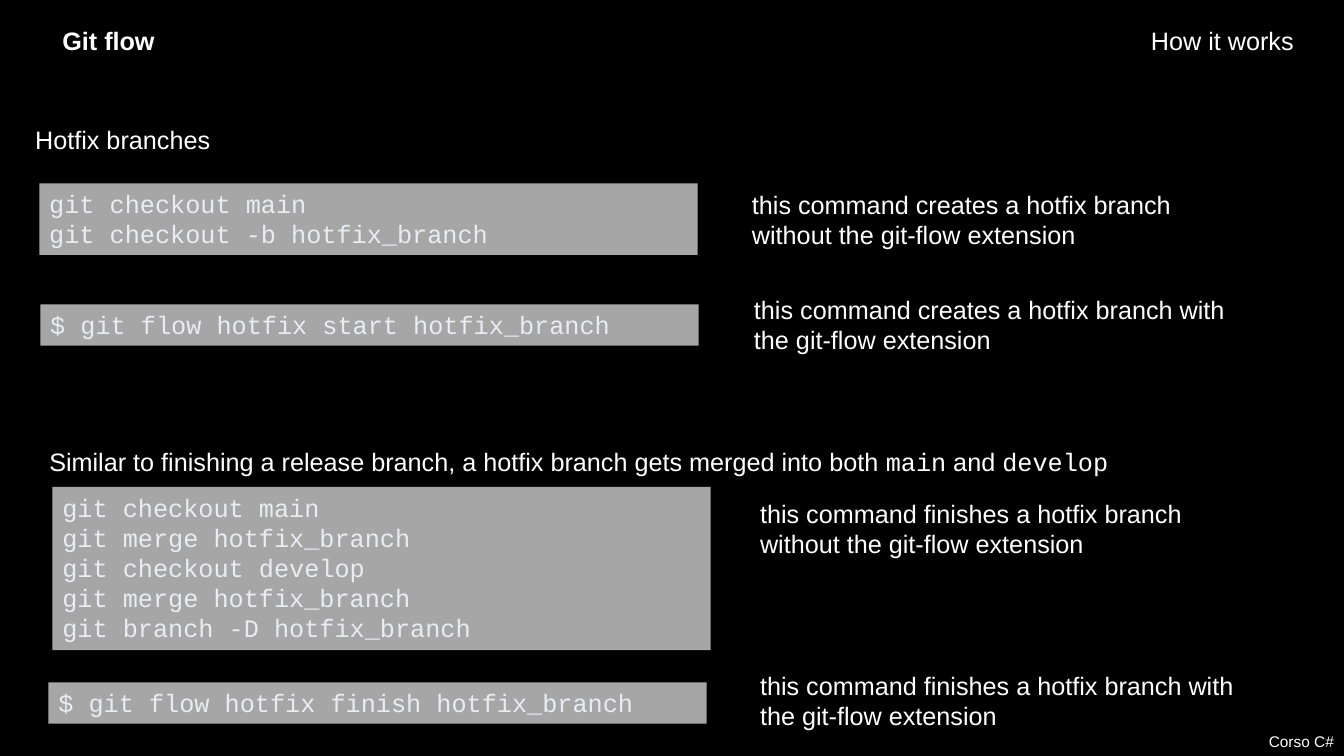
from pptx import Presentation
from pptx.dml.color import RGBColor
from pptx.enum import shapes, text
from pptx.util import Inches, Pt

SANS, MONO = "Arial", "Courier New"
WHITE, BLACK, GREY, PALE = "FFFFFF", "000000", "A6A6A6", "EBECF0"
CODE_WIDTH, NOTE_WIDTH = 6.53, 4.97
LINE_HEIGHT, PADDING = 0.305, 0.1


def paint(fill, color):
    fill.solid()
    fill.fore_color.rgb = RGBColor.from_string(color)


def style(paragraph, font=SANS, size=18, color=WHITE, bold=False,
          align=text.PP_ALIGN.LEFT, spacing=None):
    paragraph.font.name = font
    paragraph.font.size = Pt(size)
    paragraph.font.bold = bold
    paragraph.font.color.rgb = RGBColor.from_string(color)
    paragraph.alignment = align
    if spacing:
        paragraph.line_spacing = spacing


def add_text(slide, box, runs, wrap=True, **look):
    """Place one paragraph; runs is a list of (wording, font) pairs."""
    frame = slide.shapes.add_textbox(*map(Inches, box)).text_frame
    frame.word_wrap = wrap
    paragraph = frame.paragraphs[0]
    style(paragraph, **look)
    for wording, font in runs:
        run = paragraph.add_run()
        run.text = wording
        if font != SANS:
            run.font.name = font


def add_code(slide, left, top, lines):
    """Place a grey panel as tall as its lines of code."""
    height = round(len(lines) * LINE_HEIGHT + PADDING, 2)
    panel = slide.shapes.add_shape(
        shapes.MSO_SHAPE.RECTANGLE,
        *map(Inches, (left, top, CODE_WIDTH, height)))
    panel.shadow.inherit = False
    paint(panel.fill, GREY)
    panel.line.fill.background()
    frame = panel.text_frame
    frame.word_wrap = True
    frame.vertical_anchor = text.MSO_ANCHOR.TOP
    frame.text = "\n".join(lines)
    for paragraph in frame.paragraphs:
        style(paragraph, MONO, color=PALE)


def add_command(slide, code_at, note_at, lines, note):
    """Place a code panel with its explanation on the right."""
    add_code(slide, *code_at, lines)
    add_text(slide, (*note_at, NOTE_WIDTH, 0.71), [(note, SANS)])


def add_header(slide, top):
    add_text(slide, (0.52, top, 1.13, 0.4), [("Git flow", SANS)],
             wrap=False, bold=True)
    add_text(slide, (9.56, top, 3.37, 0.4), [("How it works", SANS)],
             align=text.PP_ALIGN.RIGHT)


def add_footer(slide, top):
    add_text(slide, (0, top, 13.33, 0.29), [("Corso C#", SANS)],
             size=11, align=text.PP_ALIGN.RIGHT)


def add_start_section(slide, left, top):
    add_text(slide, (left, top, 12.68, 0.5), [("Hotfix branches", SANS)],
             spacing=1.5)
    add_command(slide, (left + 0.14, top + 0.79), (left + 7.11, top + 0.8),
                ["git checkout main", "git checkout -b hotfix_branch"],
                "this command creates a hotfix branch without the git-flow extension")
    add_command(slide, (left + 0.15, top + 1.99), (left + 7.13, top + 1.84),
                ["$ git flow hotfix start hotfix_branch"],
                "this command creates a hotfix branch with the git-flow extension")


def add_finish_section(slide, left, top):
    merge = "git merge hotfix_branch"
    add_command(slide, (left + 0.13, top + 0.6), (left + 7.05, top + 0.66),
                ["git checkout main", merge, "git checkout develop", merge,
                 "git branch -D hotfix_branch"],
                "this command finishes a hotfix branch without the git-flow extension")
    add_command(slide, (left + 0.09, top + 2.54), (left + 7.05, top + 2.37),
                ["$ git flow hotfix finish hotfix_branch"],
                "this command finishes a hotfix branch with the git-flow extension")
    add_text(slide, (left, top, 12.68, 0.52),
             [("Similar to finishing a release branch, a hotfix branch "
               "gets merged into both ", SANS),
              ("main", MONO), (" and ", SANS), ("develop", MONO)],
             spacing=1.5)


def main():
    deck = Presentation()
    deck.slide_width, deck.slide_height = Inches(13.33), Inches(7.5)
    slide = deck.slides.add_slide(deck.slide_layouts[6])
    paint(slide.background.fill, BLACK)
    add_footer(slide, 7.21)
    add_header(slide, 0.2)
    add_start_section(slide, 0.25, 1.03)
    add_finish_section(slide, 0.39, 4.23)
    deck.save("out.pptx")


if __name__ == "__main__":
    main()
